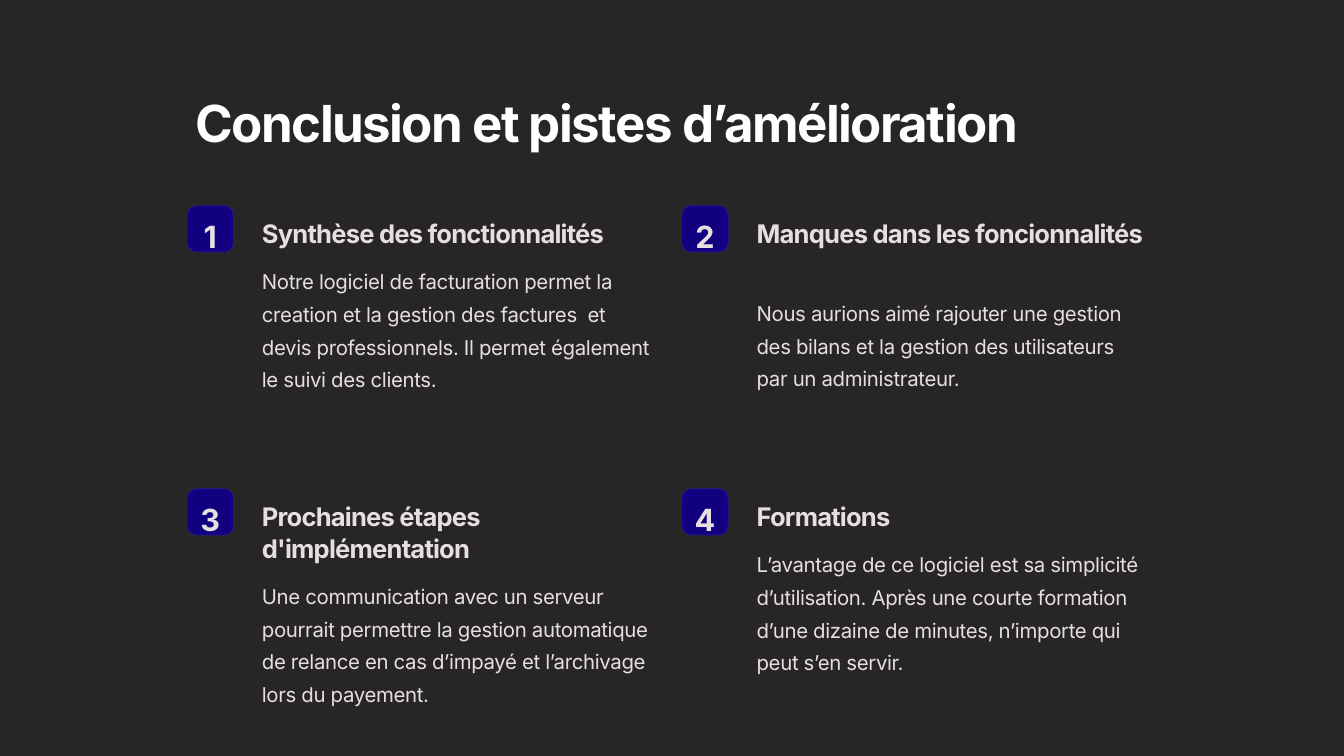
from dataclasses import dataclass

from pptx import Presentation
from pptx.dml.color import RGBColor
from pptx.enum.shapes import MSO_SHAPE
from pptx.enum.text import MSO_ANCHOR, MSO_AUTO_SIZE, PP_ALIGN
from pptx.util import Cm, Pt

# Content: heading lines, rows reserved for the heading, body
TITLE = "Conclusion et pistes d’amélioration"
CARDS = [
    (["Synthèse des fonctionnalités"], 1,
     "Notre logiciel de facturation permet la creation et la gestion des factures  et "
     "devis professionnels. Il permet également le suivi des clients."),
    (["Manques dans les foncionnalités"], 2,
     "Nous aurions aimé rajouter une gestion des bilans et la gestion des utilisateurs "
     "par un administrateur."),
    (["Prochaines étapes", "d'implémentation"], 2,
     "Une communication avec un serveur pourrait permettre la gestion automatique "
     "de relance en cas d’impayé et l’archivage lors du payement."),
    (["Formations"], 1,
     "L’avantage de ce logiciel est sa simplicité d’utilisation. Après une courte formation "
     "d’une dizaine de minutes, n’importe qui peut s’en servir."),
]


@dataclass(frozen=True)
class TextStyle:
    size: float
    line: float
    tracking: int  # hundredths of a point
    color: RGBColor
    bold: bool = True


class Theme:
    font = "Inter"
    background = RGBColor(0x27, 0x25, 0x25)
    badge = RGBColor(0x11, 0x00, 0x80)
    badge_line = RGBColor(0x2A, 0x19, 0x99)
    light = RGBColor(0xE5, 0xE0, 0xDF)
    title = TextStyle(43.7, 54.7, -130, RGBColor(0xFF, 0xFF, 0xFF))
    number = TextStyle(26.2, 32.8, -80, light)
    heading = TextStyle(21.9, 27.3, -70, light)
    body = TextStyle(17.5, 28, -30, light, bold=False)


# Grid, in centimetres
LEFT, TOP = 5.66, 6.22
COLUMN_PITCH, ROW_PITCH = 14.96, 8.56
BADGE = 1.4
TEXT_INDENT, TEXT_WIDTH = 2.01, 12.34
HEADING_DROP, HEADING_ROW = 0.21, 0.96
BODY_DROP, BODY_HEIGHT = 1.55, 3.94


def write(shape, lines, style, align=PP_ALIGN.LEFT, wrap=True):
    frame = shape.text_frame
    frame.text = "\n".join(lines)
    frame.word_wrap = wrap
    frame.auto_size = MSO_AUTO_SIZE.NONE
    frame.vertical_anchor = MSO_ANCHOR.TOP
    for paragraph in frame.paragraphs:
        paragraph.alignment = align
        paragraph.line_spacing = Pt(style.line)
        paragraph.space_before = Pt(0)
        font = paragraph.font
        font.name, font.size, font.bold = Theme.font, Pt(style.size), style.bold
        font.color.rgb = style.color
        for run in paragraph.runs:
            run._r.get_or_add_rPr().set("spc", str(style.tracking))


def add_text(slide, left, top, height, lines, style):
    box = slide.shapes.add_textbox(Cm(left), Cm(top), Cm(TEXT_WIDTH), Cm(height))
    write(box, lines, style)


def add_badge(slide, left, top, number):
    badge = slide.shapes.add_shape(
        MSO_SHAPE.ROUNDED_RECTANGLE, Cm(left), Cm(top), Cm(BADGE), Cm(BADGE))
    badge.adjustments[0] = 0.2
    badge.shadow.inherit = False
    badge.fill.solid()
    badge.fill.fore_color.rgb = Theme.badge
    badge.line.color.rgb = Theme.badge_line
    badge.line.width = Pt(0.6)
    write(badge, [str(number)], Theme.number, PP_ALIGN.CENTER, wrap=False)
    frame = badge.text_frame
    frame.margin_left = frame.margin_right = frame.margin_bottom = 0
    frame.margin_top = Cm(0.23)


def main():
    presentation = Presentation()
    presentation.slide_width, presentation.slide_height = Cm(40.64), Cm(22.86)
    slide = presentation.slides.add_slide(presentation.slide_layouts[5])
    slide.background.fill.solid()
    slide.background.fill.fore_color.rgb = Theme.background

    # Title
    title = slide.shapes.title
    title.left, title.top, title.width, title.height = Cm(LEFT), Cm(2.57), Cm(27), Cm(1.93)
    write(title, [TITLE], Theme.title, wrap=False)

    # Numbered cards, two per row
    for index, (heading, heading_rows, body) in enumerate(CARDS):
        row, column = divmod(index, 2)
        left, top = LEFT + column * COLUMN_PITCH, TOP + row * ROW_PITCH
        text_left = left + TEXT_INDENT
        body_top = top + BODY_DROP + (heading_rows - 1) * HEADING_ROW
        add_badge(slide, left, top, index + 1)
        add_text(slide, text_left, top + HEADING_DROP, heading_rows * HEADING_ROW,
                 heading, Theme.heading)
        add_text(slide, text_left, body_top, BODY_HEIGHT, [body], Theme.body)

    presentation.save("out.pptx")


if __name__ == "__main__":
    main()
